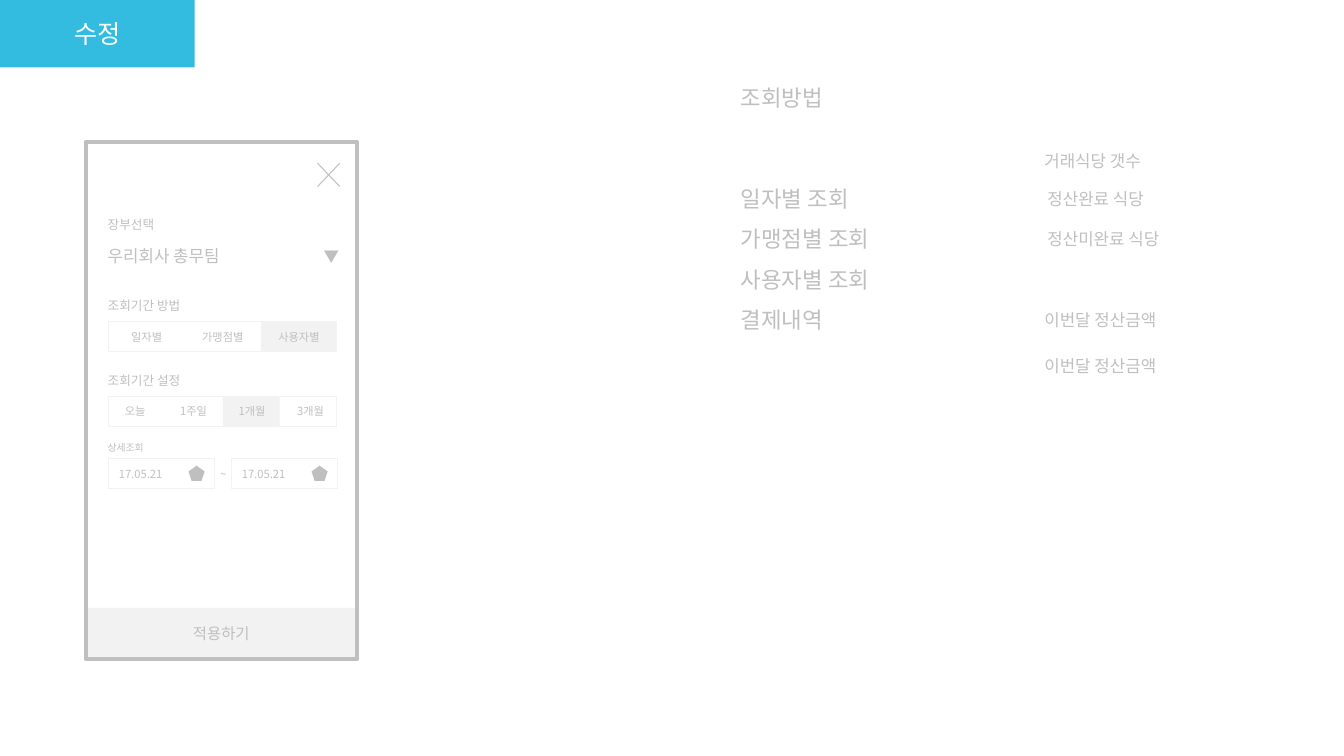
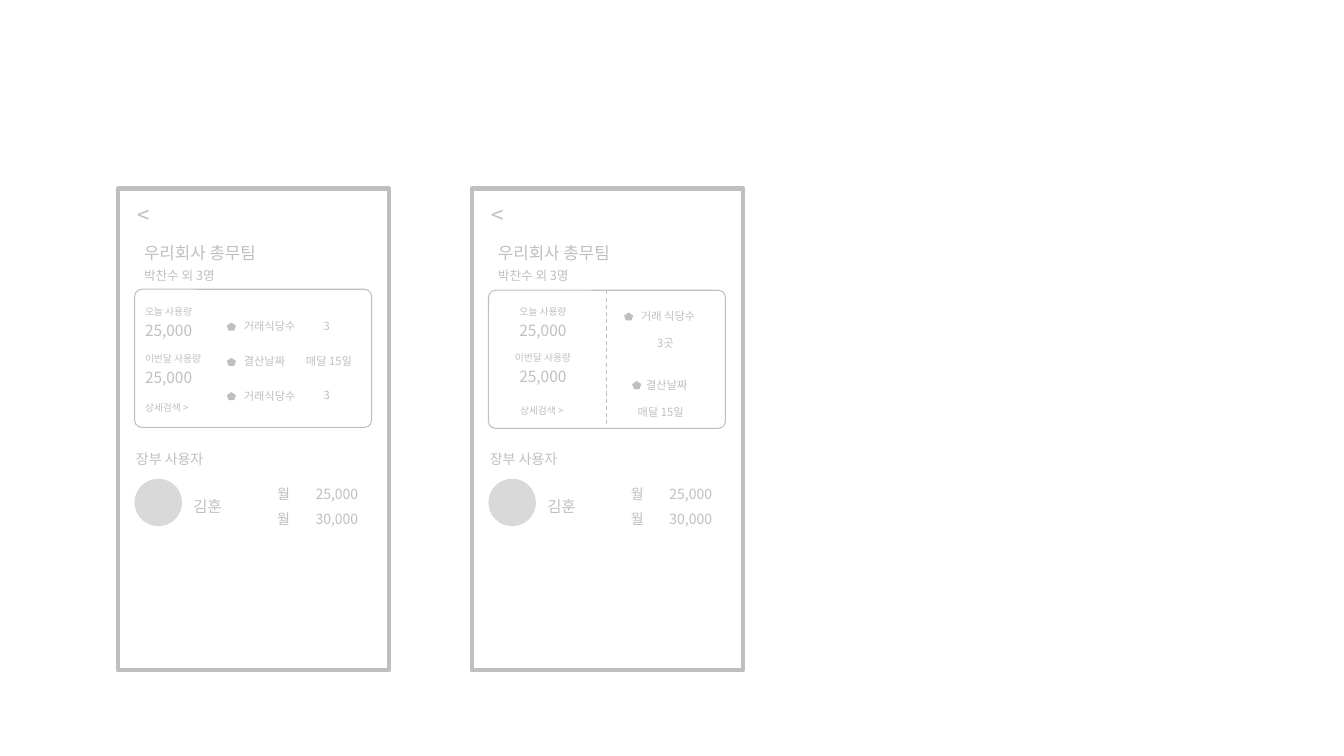
from lxml.etree import SubElement
from pptx import Presentation
from pptx.dml.color import RGBColor
from pptx.enum.dml import MSO_LINE
from pptx.enum.shapes import MSO_CONNECTOR, MSO_SHAPE
from pptx.enum.text import MSO_ANCHOR, PP_ALIGN
from pptx.oxml.ns import qn
from pptx.util import Inches, Pt

FONT = "Noto Sans CJK KR"
GREY, PALE, DISC, WHITE, BLUE = "BFBFBF", "F2F2F2", "D9D9D9", "FFFFFF", "34BBE0"
LEFT, CENTER, RIGHT = PP_ALIGN.LEFT, PP_ALIGN.CENTER, PP_ALIGN.RIGHT
PHONE_W = 2.69
FIELD_X, FIELD_W, FIELD_H = 1.08, 2.26, 0.3

FORM_LABELS = [
    (2.04, "장부선택", 9),
    (2.35, "우리회사 총무팀", 12),
    (2.84, "조회기간 방법", 9),
    (3.58, "조회기간 설정", 9),
    (4.25, "상세조회", 7),
]
SEGMENTS = [
    (3.19, 0.75, 2, ["일자별", "가맹점별", "사용자별"]),
    (3.93, 0.52, 2, ["오늘", "1주일", "1개월", "3개월"]),
]
DATES = [(1.08, "17.05.21"), (2.3, "17.05.21")]
METHODS = ["일자별 조회", "가맹점별 조회", "사용자별 조회", "결제내역"]
SUMMARY_NOTES = [
    (10.26, 1.41, "거래식당 갯수"),
    (10.29, 1.78, "정산완료 식당"),
    (10.29, 2.18, "정산미완료 식당"),
    (10.26, 2.98, "이번달 정산금액"),
    (10.26, 3.44, "이번달 정산금액"),
]
LEDGER_TEXTS = [
    (0.1, 1.94, 2.49, ["<"], 16, LEFT, None),
    (0.16, 2.32, 2.35, ["우리회사 총무팀"], 12, LEFT, None),
    (0.16, 2.54, 2.35, ["박찬수 외 3명"], 9, LEFT, None),
    (0.08, 4.32, 1.01, ["장부 사용자"], 10, LEFT, 1.5),
    (0.65, 4.79, 1.01, ["김훈"], 11, LEFT, 1.5),
    (1.48, 4.79, 0.47, ["월", "월"], 10, LEFT, 1.5),
    (1.59, 4.79, 0.89, ["25,000", "30,000"], 10, RIGHT, 1.5),
]
USAGE = [("오늘 사용량", "25,000"), ("이번달 사용량", "25,000")]
LEDGERS = [
    {"x": 1.17, "card_y": 2.87, "align": LEFT, "label_x": 0.17, "step": 0.47,
     "detail": (0.17, 3.78), "divided": False,
     "facts": [
         ((1.08, 3.2), 1.15, "거래식당수", (1.91, 3.09, 0.29), "3"),
         ((1.08, 3.55), 1.15, "결산날짜", (1.64, 3.44, 0.78), "매달 15일"),
         ((1.08, 3.89), 1.15, "거래식당수", (1.91, 3.78, 0.29), "3")]},
    {"x": 4.68, "card_y": 2.88, "align": CENTER, "label_x": 0.2, "step": 0.46,
     "detail": (0.38, 3.81), "divided": True,
     "facts": [
         ((1.51, 3.1), 1.58, "거래 식당수", (1.68, 3.26, 0.42), "3곳"),
         ((1.59, 3.78), 1.63, "결산날짜", (1.42, 3.95, 0.78), "매달 15일")]},
]


def rgb(value):
    return RGBColor.from_string(value)


def write(sp, lines, size, align=LEFT, color=GREY, spacing=None):
    tf = sp.text_frame
    tf.word_wrap = True
    tf.vertical_anchor = MSO_ANCHOR.MIDDLE
    tf.text = "\n".join(lines)
    for p in tf.paragraphs:
        p.alignment = align
        if spacing:
            p.line_spacing = spacing
        p.font.size = Pt(size)
        p.font.color.rgb = rgb(color)
        p.font.name = FONT
        props = p._p.get_or_add_pPr().find(qn("a:defRPr"))
        SubElement(props, qn("a:ea")).set("typeface", FONT)


def text(s, x, y, w, lines, size, align=LEFT, spacing=None, h=0.38):
    sp = s.shapes.add_textbox(Inches(x), Inches(y), Inches(w), Inches(h))
    write(sp, lines, size, align, spacing=spacing)


def shape(s, x, y, w, h, fill=None, line=None, weight=0.75, kind=MSO_SHAPE.RECTANGLE):
    sp = s.shapes.add_shape(kind, Inches(x), Inches(y), Inches(w), Inches(h))
    sp.shadow.inherit = False
    if fill:
        sp.fill.solid()
        sp.fill.fore_color.rgb = rgb(fill)
    else:
        sp.fill.background()
    if line:
        sp.line.color.rgb = rgb(line)
        sp.line.width = Pt(weight)
    else:
        sp.line.fill.background()
    return sp


def pentagon(s, x, y, w, h):
    shape(s, x, y, w, h, GREY, kind=MSO_SHAPE.REGULAR_PENTAGON)


def phone(s, x, y, h):
    shape(s, x, y, PHONE_W, h, line=GREY, weight=3)


def connector(s, x1, y1, x2, y2):
    c = s.shapes.add_connector(MSO_CONNECTOR.STRAIGHT, *map(Inches, (x1, y1, x2, y2)))
    c.line.color.rgb = rgb(GREY)
    c.line.width = Pt(0.75)
    SubElement(c._element.spPr, qn("a:effectLst"))
    return c


def segmented(s, y, label_w, selected, labels):
    n = len(labels)
    shape(s, FIELD_X, y, FIELD_W, FIELD_H, line=PALE)
    shape(s, FIELD_X + selected * FIELD_W / n, y, FIELD_W / n, FIELD_H, PALE)
    step = (FIELD_W - label_w) / (n - 1)
    for i, label in enumerate(labels):
        text(s, FIELD_X + i * step, y - 0.04, label_w, [label], 8, CENTER)


def search_slide(s):
    write(shape(s, 0, 0, 1.93, 0.67, BLUE), ["수정"], 18, CENTER, WHITE)
    for y, label, size in FORM_LABELS:
        text(s, 0.97, y, 2.49, [label], size)
    text(s, 0.97, 2.35, 2.49, ["▼"], 11, RIGHT)
    for segment in SEGMENTS:
        segmented(s, *segment)
    for x, date in DATES:
        shape(s, x, 4.55, 1.05, FIELD_H, WHITE, PALE)
        text(s, x, 4.51, 1.05, [date], 8)
        pentagon(s, x + 0.79, 4.62, 0.16, 0.15)
    text(s, 2.04, 4.51, 0.35, ["~"], 8, CENTER)
    for y1, y2 in ((1.62, 1.85), (1.85, 1.62)):
        connector(s, 3.15, y1, 3.37, y2)
    shape(s, 0.85, 6.03, PHONE_W, 0.5, PALE)
    text(s, 0.85, 6.09, PHONE_W, ["적용하기"], 11, CENTER)
    phone(s, 0.85, 1.41, 5.13)
    text(s, 7.25, 0.78, 2.49, ["조회방법"], 16)
    text(s, 7.25, 1.17, 2.49, METHODS, 16, spacing=1.5, h=2.67)
    for x, y, note in SUMMARY_NOTES:
        text(s, x, y, 2.09, [note], 12)


def ledger(s, screen):
    left, align = screen["x"], screen["align"]
    phone(s, left, 1.87, 4.78)
    card = shape(s, left + 0.165, screen["card_y"], 2.35, 1.37, WHITE, GREY,
                 kind=MSO_SHAPE.ROUNDED_RECTANGLE)
    card.adjustments[0] = 0.052
    shape(s, left + 0.165, 4.75, 0.47, 0.47, DISC, kind=MSO_SHAPE.OVAL)
    for x, *rest in LEDGER_TEXTS:
        text(s, left + x, *rest)
    for i, (label, amount) in enumerate(USAGE):
        y = 2.87 + i * screen["step"]
        text(s, left + screen["label_x"], y, 1.01, [label], 7, align, 1.5)
        text(s, left + 0.17, y + 0.13, 1.07, [amount], 11, align, 1.5, 0.46)
    x, y = screen["detail"]
    text(s, left + x, y, 1.07, ["상세검색 >"], 7, LEFT, 1.5, 0.46)
    for (dot_x, dot_y), label_x, label, (x, y, w), value in screen["facts"]:
        pentagon(s, left + dot_x, dot_y, 0.09, 0.08)
        text(s, left + label_x, dot_y - 0.09, 0.79, [label], 8, h=0.25)
        text(s, left + x, y, w, [value], 8, RIGHT, h=0.28)
    if screen["divided"]:
        divider = connector(s, left, 2.88, left, 4.25)
        divider.begin_connect(card, 0)
        divider.end_connect(card, 2)
        divider.line.dash_style = MSO_LINE.DASH


def main():
    """Build the search form and ledger wireframe slides."""
    prs = Presentation()
    prs.slide_width, prs.slide_height = Inches(13.33), Inches(7.5)
    blank = prs.slide_layouts[6]
    search_slide(prs.slides.add_slide(blank))
    s = prs.slides.add_slide(blank)
    for screen in LEDGERS:
        ledger(s, screen)
    prs.save("out.pptx")


if __name__ == "__main__":
    main()
